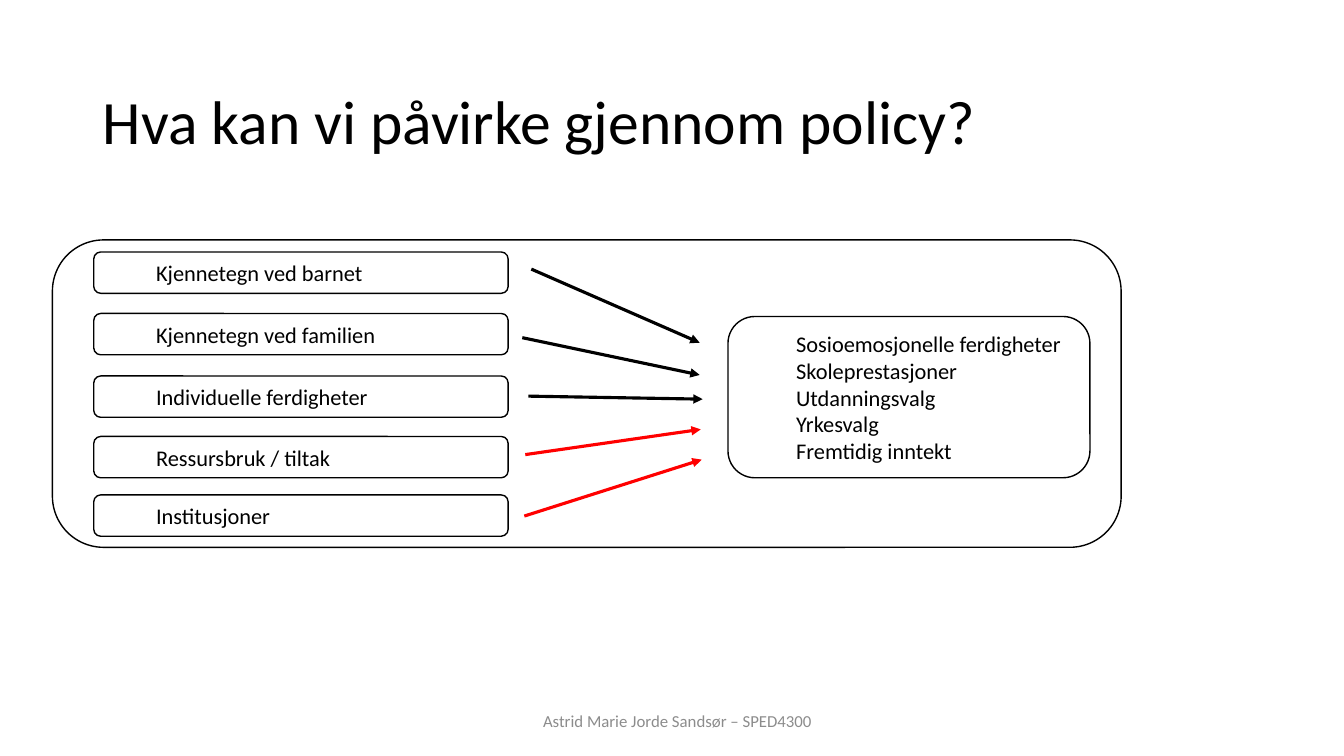
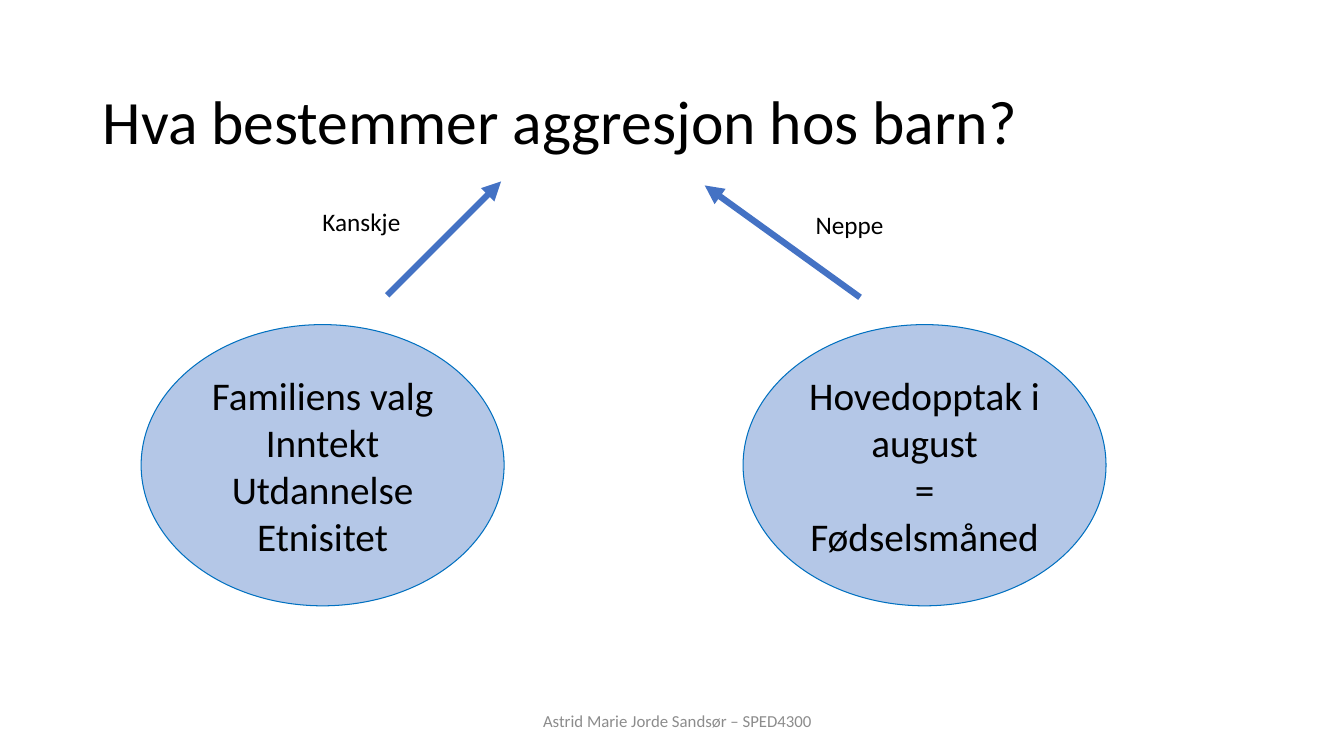
from pptx import Presentation
from pptx.dml.color import RGBColor
from pptx.enum.shapes import MSO_CONNECTOR, MSO_SHAPE
from pptx.enum.text import MSO_ANCHOR, PP_ALIGN
from pptx.oxml.ns import qn
from pptx.util import Pt
from lxml import etree

STRAIGHT = MSO_CONNECTOR.STRAIGHT
ROUNDED, OVAL = MSO_SHAPE.ROUNDED_RECTANGLE, MSO_SHAPE.OVAL
MIDDLE, TOP = MSO_ANCHOR.MIDDLE, MSO_ANCHOR.TOP
LEFT, CENTER = PP_ALIGN.LEFT, PP_ALIGN.CENTER

PX = 9144
TITLE_ONLY = 5
FONT = "Calibri"
FOOTER = "Astrid Marie Jorde Sandsør – SPED4300"
COLORS = {
    "black": "000000",
    "white": "FFFFFF",
    "red": "FF0000",
    "gray": "8C8C8C",
    "blue": "4472C4",
    "pale_blue": "B4C7E7",
    "outline_blue": "0070C0",
}


def px(*lengths):
    """Convert px lengths to EMU."""
    return [length * PX for length in lengths]


def color(name):
    """Return the named colour."""
    return RGBColor.from_string(COLORS[name])


class Deck:
    """Hold the presentation, its style and the current slide."""

    def __init__(self):
        """Start an empty widescreen presentation."""
        self.presentation = Presentation()
        self.presentation.slide_width, self.presentation.slide_height = px(1333, 750)
        self.slide = None

    def add_slide(self, title):
        """Add a slide with the shared title and footer."""
        layout = self.presentation.slide_layouts[TITLE_ONLY]
        self.slide = self.presentation.slides.add_slide(layout)
        shape = self.slide.shapes.title
        shape.left, shape.top, shape.width, shape.height = px(92, 63, 1150, 122)
        self.set_text(shape, title, 44, anchor=MIDDLE)
        shape.text_frame.paragraphs[0].line_spacing = 0.9
        self.text(FOOTER, (247, 695, 850, 40), 12, "gray", CENTER, MIDDLE)

    def set_text(self, shape, text, size, ink="black", align=LEFT, anchor=TOP, wrap=True, indent=0):
        """Fill a shape with formatted text."""
        frame = shape.text_frame
        frame.text = text
        frame.word_wrap = wrap
        frame.vertical_anchor = anchor
        for paragraph in frame.paragraphs:
            paragraph.alignment = align
            if indent:
                paragraph._p.get_or_add_pPr().set("marL", str(indent * PX))
            for run in paragraph.runs:
                run.font.name = FONT
                run.font.size = Pt(size)
                run.font.color.rgb = color(ink)

    def text(self, text, box, size, ink="black", align=LEFT, anchor=TOP, wrap=True):
        """Add a text box."""
        shape = self.slide.shapes.add_textbox(*px(*box))
        self.set_text(shape, text, size, ink, align, anchor, wrap)

    def shape(self, kind, box, fill="white", line="black", width=1):
        """Add an outlined preset shape."""
        shape = self.slide.shapes.add_shape(kind, *px(*box))
        shape.shadow.inherit = False
        shape.fill.solid()
        shape.fill.fore_color.rgb = color(fill)
        shape.line.color.rgb = color(line)
        shape.line.width = Pt(width)
        return shape

    def panel(self, text, box):
        """Add a rounded box with indented text."""
        self.set_text(self.shape(ROUNDED, box), text, 16, anchor=MIDDLE, indent=50)

    def ellipse(self, text, box):
        """Add a pale ellipse with centred text."""
        shape = self.shape(OVAL, box, "pale_blue", "outline_blue", 0.75)
        self.set_text(shape, text, 28, align=CENTER, anchor=MIDDLE)

    def arrow(self, start, end, ink, width):
        """Add a straight arrow pointing at its end."""
        connector = self.slide.shapes.add_connector(STRAIGHT, *px(*start, *end))
        connector.line.color.rgb = color(ink)
        connector.line.width = Pt(width)
        properties = connector.element.spPr
        etree.SubElement(properties.find(qn("a:ln")), qn("a:tailEnd"), type="triangle")
        etree.SubElement(properties, qn("a:effectLst"))


def add_policy_slide(deck):
    """Build the slide on what policy can influence."""
    deck.add_slide("Hva kan vi påvirke gjennom policy?")
    deck.shape(ROUNDED, (52, 238, 1060, 305))
    outcomes = (
        "Sosioemosjonelle ferdigheter",
        "Skoleprestasjoner",
        "Utdanningsvalg",
        "Yrkesvalg",
        "Fremtidig inntekt",
    )
    deck.panel("\n".join(outcomes), (722, 314, 359, 160))
    factors = (
        ("Kjennetegn ved barnet", 250, (527, 267), (694, 340), "black"),
        ("Kjennetegn ved familien", 311, (518, 335), (694, 372), "black"),
        ("Individuelle ferdigheter", 373, (524, 393), (697, 396), "black"),
        ("Ressursbruk / tiltak", 433, (521, 451), (695, 426), "red"),
        ("Institusjoner", 491, (520, 512), (696, 456), "red"),
    )
    for label, top, start, end, ink in factors:
        deck.panel(label, (93, top, 411, 41))
        deck.arrow(start, end, ink, 2.25)


def add_aggression_slide(deck):
    """Build the slide on what determines aggression."""
    deck.add_slide("Hva bestemmer aggresjon hos barn?")
    causes = (
        ("Familiens valg\nInntekt\nUtdannelse\nEtnisitet", 140,
         (384, 293), (497, 180), "Kanskje", (310, 200, 98, 40)),
        ("Hovedopptak i august\n=\nFødselsmåned", 737,
         (853, 295), (699, 184), "Neppe", (799, 203, 88, 40)),
    )
    for cause, left, start, end, label, label_box in causes:
        deck.ellipse(cause, (left, 322, 360, 279))
        deck.arrow(start, end, "blue", 4.5)
        deck.text(label, label_box, 18, wrap=False)


def main():
    """Build and save the presentation."""
    deck = Deck()
    add_policy_slide(deck)
    add_aggression_slide(deck)
    deck.presentation.save("out.pptx")


if __name__ == "__main__":
    main()
